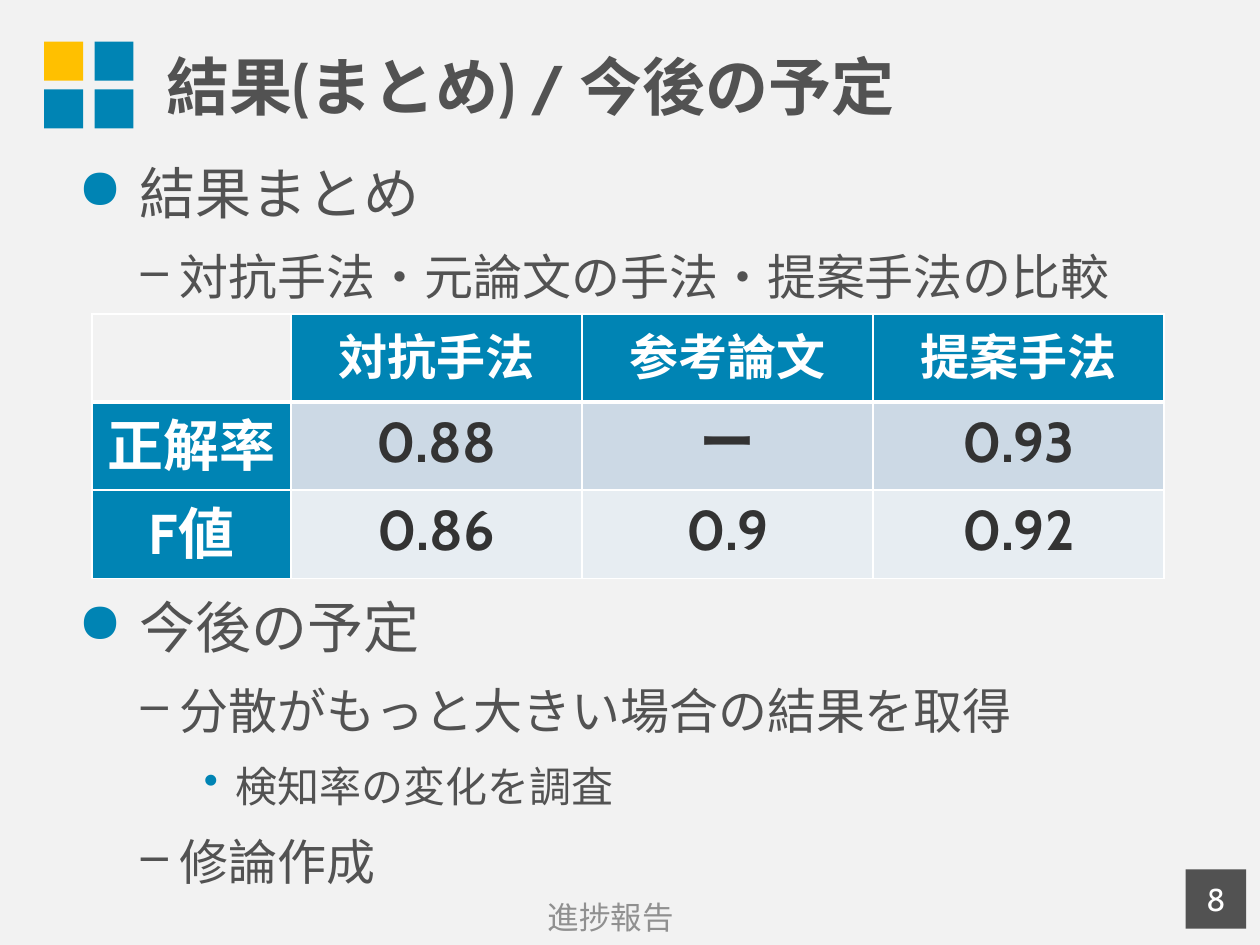
from lxml import etree
from pptx import Presentation
from pptx import util as u
from pptx.dml.color import RGBColor
from pptx.enum import shapes, text
from pptx.oxml.ns import qn

THEME = dict(
    font="Cabin", bg="F2F2F2", blue="0084B4", gold="FFC000", ink="525252",
    footer="909090", white="FFFFFF", value="333333", bands=("CCD9E5", "E7EDF2"),
    title_pt=36, head_pt=28, cell_pt=32, small_pt=18,
)
# size, left margin, hanging indent, bullet, bullet colour
LEVELS = [
    (32, 0.49, 0.49, "●", THEME["blue"]),
    (28, 0.81, 0.31, "–", THEME["ink"]),
    (24, 1.25, 0.25, "•", THEME["blue"]),
]
TITLE = "結果(まとめ) / 今後の予定"
SUMMARY = [(0, "結果まとめ"), (1, "対抗手法・元論文の手法・提案手法の比較")]
PLANS = [
    (0, "今後の予定"),
    (1, "分散がもっと大きい場合の結果を取得"),
    (2, "検知率の変化を調査"),
    (1, "修論作成"),
]
RESULTS = [
    ["", "対抗手法", "参考論文", "提案手法"],
    ["正解率", "0.88", "ー", "0.93"],
    ["F値", "0.86", "0.9", "0.92"],
]
FOOTER, PAGE = "進捗報告", "8"


def rgb(name):
    return RGBColor.from_string(name)


def add_run(p, words, size, color, bold=False):
    r = p.add_run()
    r.text = words
    f = r.font
    f.name, f.size, f.bold = THEME["font"], u.Pt(size), bold
    f.color.rgb = rgb(color)
    ea = etree.Element(qn("a:ea"), typeface=THEME["font"])
    r._r.rPr.find(qn("a:latin")).addnext(ea)


def add_box(s, box):
    tf = s.shapes.add_textbox(*map(u.Inches, box)).text_frame
    tf.word_wrap = True
    return tf


def add_rect(s, box, color):
    sp = s.shapes.add_shape(shapes.MSO_SHAPE.RECTANGLE, *map(u.Inches, box))
    sp.shadow.inherit = False
    sp.fill.solid()
    sp.fill.fore_color.rgb = rgb(color)
    sp.line.fill.background()
    return sp


def add_line(tf, words, size, color, align=None, bold=False):
    """Write a single, vertically centred line."""
    tf.vertical_anchor = text.MSO_ANCHOR.MIDDLE
    p = tf.paragraphs[0]
    p.alignment = align
    add_run(p, words, size, color, bold)


def add_bullets(s, box, items):
    tf = add_box(s, box)
    for i, (level, words) in enumerate(items):
        size, margin, hang, mark, color = LEVELS[level]
        p = tf.paragraphs[0] if i == 0 else tf.add_paragraph()
        p.level = level
        pPr = p._p.get_or_add_pPr()
        pPr.set("marL", str(u.Inches(margin)))
        pPr.set("indent", str(-u.Inches(hang)))
        if i:
            p.space_before = u.Pt(12)
        clr = etree.SubElement(pPr, qn("a:buClr"))
        etree.SubElement(clr, qn("a:srgbClr"), val=color)
        etree.SubElement(pPr, qn("a:buChar"), char=mark)
        add_run(p, words, size, THEME["ink"])


def set_borders(cell, row):
    tcPr = cell._tc.get_or_add_tcPr()
    widths = dict(L=1, R=1, T=3 if row == 1 else 1, B=3 if row == 0 else 1)
    for i, (side, width) in enumerate(widths.items()):
        ln = etree.Element(qn(f"a:ln{side}"), w=str(u.Pt(width)))
        fill = etree.SubElement(ln, qn("a:solidFill"))
        etree.SubElement(fill, qn("a:srgbClr"), val=THEME["white"])
        tcPr.insert(i, ln)


def add_results(s):
    widths = [1.58] + [2.31] * 3
    row_height = 0.7
    box = (0.73, 2.49, sum(widths), row_height * len(RESULTS))
    table = s.shapes.add_table(len(RESULTS), len(widths), *map(u.Inches, box)).table
    for col, width in zip(table.columns, widths):
        col.width = u.Inches(width)
    for i, row in enumerate(RESULTS):
        for j, words in enumerate(row):
            cell = table.cell(i, j)
            header = i == 0 or j == 0
            if words:
                cell.fill.solid()
                cell.fill.fore_color.rgb = rgb(THEME["blue"] if header else THEME["bands"][i - 1])
                if header:
                    cell.vertical_anchor = text.MSO_ANCHOR.MIDDLE
                p = cell.text_frame.paragraphs[0]
                p.alignment = text.PP_ALIGN.CENTER
                add_run(p, words, THEME["cell_pt"] if i else THEME["head_pt"],
                        THEME["white"] if header else THEME["value"], True)
            else:
                cell.fill.background()
            set_borders(cell, i)


def main():
    prs = Presentation()
    prs.slide_width, prs.slide_height = u.Inches(10), u.Inches(7.5)
    s = prs.slides.add_slide(prs.slide_layouts[6])
    s.background.fill.solid()
    s.background.fill.fore_color.rgb = rgb(THEME["bg"])

    for row in range(2):
        for col in range(2):
            color = THEME["blue"] if row or col else THEME["gold"]
            add_rect(s, (0.35 + 0.4 * col, 0.33 + 0.38 * row, 0.31, 0.31), color)

    add_line(add_box(s, (1.22, 0.05, 8.78, 1.25)), TITLE,
             THEME["title_pt"], THEME["ink"], bold=True)
    add_bullets(s, (0.52, 1.21, 9.15, 1.28), SUMMARY)
    add_bullets(s, (0.52, 4.65, 9.15, 2.61), PLANS)
    center = text.PP_ALIGN.CENTER
    add_line(add_box(s, (0.35, 7.08, 8.99, 0.4)), FOOTER,
             THEME["small_pt"], THEME["footer"], center)
    badge = add_rect(s, (9.41, 6.9, 0.48, 0.47), THEME["ink"])
    add_line(badge.text_frame, PAGE, THEME["small_pt"], THEME["white"], center)
    add_results(s)
    prs.save("out.pptx")


if __name__ == "__main__":
    main()
